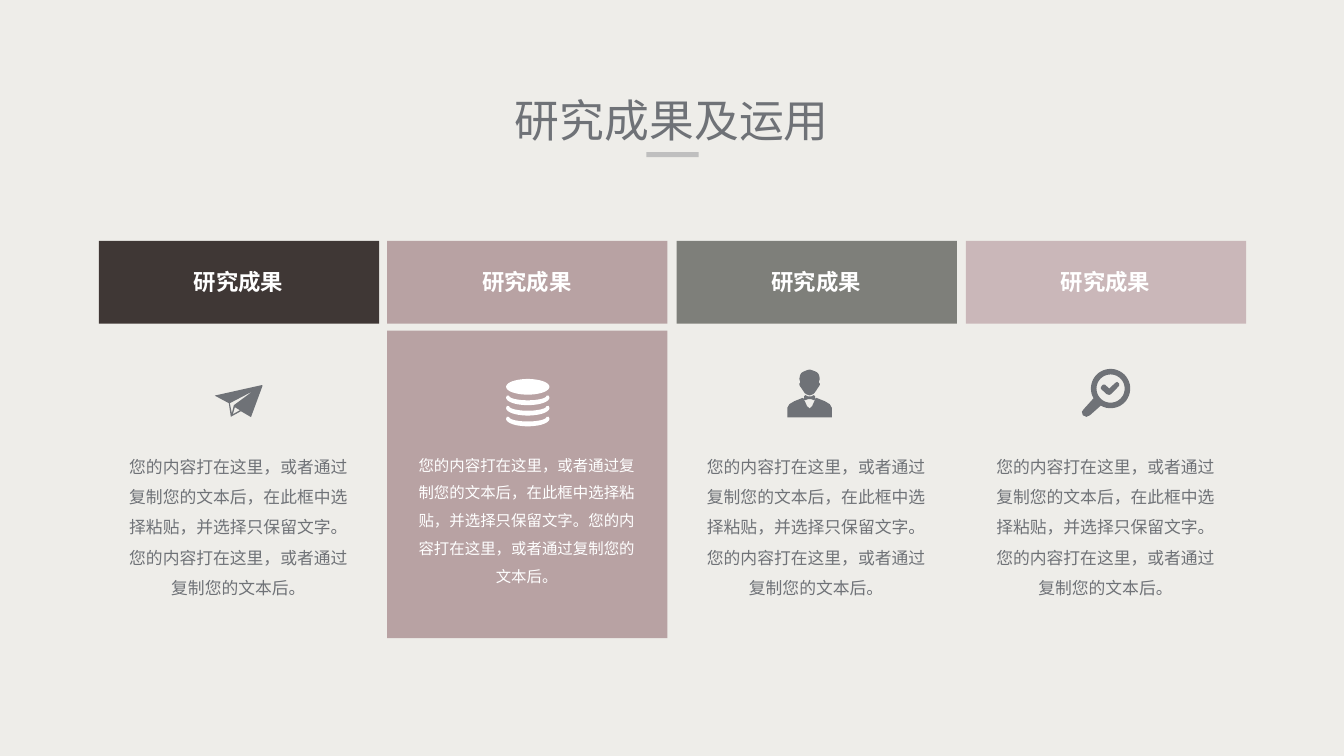
from math import cos, radians, sin

from pptx import Presentation
from pptx.dml.color import RGBColor
from pptx.enum.shapes import MSO_SHAPE
from pptx.enum.text import MSO_ANCHOR, PP_ALIGN
from pptx.util import Pt

PX = 9144
ICON_UNIT = PX / 10
FONT = "Noto Sans CJK SC"
PAPER = RGBColor(0xEE, 0xED, 0xE9)
SLATE = RGBColor(0x6F, 0x72, 0x77)
SILVER = RGBColor(0xBF, 0xBF, 0xBF)
ESPRESSO = RGBColor(0x3F, 0x37, 0x35)
MAUVE = RGBColor(0xB8, 0xA2, 0xA3)
STONE = RGBColor(0x7E, 0x7F, 0x7A)
BLUSH = RGBColor(0xCA, 0xB7, 0xB9)
WHITE = RGBColor(0xFF, 0xFF, 0xFF)

TITLE = "研究成果及运用"
HEADING = "研究成果"
BODY = (
    "您的内容打在这里，或者通过复制您的文本后，在此框中选择粘贴，并选择只保留文字。"
    "您的内容打在这里，或者通过复制您的文本后。"
)


def arc(cx, cy, rx, ry, start=0, end=360, steps=40):
    angles = [radians(start + (end - start) * i / steps) for i in range(steps + 1)]
    return [(cx + rx * cos(a), cy + ry * sin(a)) for a in angles]


def smooth(points, steps=6):
    curve = []
    for i in range(len(points)):
        a, b, c, d = (points[(i + k) % len(points)] for k in (-1, 0, 1, 2))
        for t in (step / steps for step in range(steps)):
            curve.append(tuple(
                q + t * (r - p) / 2
                + t ** 2 * (2 * p - 5 * q + 4 * r - s) / 2
                + t ** 3 * (3 * q - p - 3 * r + s) / 2
                for p, q, r, s in zip(a, b, c, d)
            ))
    return curve


def mirror(half, axis=220):
    return half + [(2 * axis - x, y) for x, y in reversed(half)]


def disk_band(y):
    return arc(215, y, 215, 75, 0, 180) + [(8, y - 20)] + arc(215, y - 18, 185, 45, 180, 0) + [(422, y - 20)]


PLANE = [
    [(470, 0), (0, 105), (140, 180), (160, 315), (260, 260), (360, 318), (474, 8)],
    [(380, 60), (190, 200), (170, 280), (150, 180)],
    [(180, 290), (200, 220), (250, 250)],
]
DATABASE = [arc(215, 78, 215, 78)] + [disk_band(y) for y in (185, 288, 395)]
PERSON = [
    smooth(mirror([(235, 0), (300, 30), (320, 85), (312, 120), (322, 145), (298, 185), (265, 232), (230, 250)])),
    mirror([(280, 282), (290, 278), (370, 310), (420, 340), (440, 375), (440, 470)])
    + [(160, 282), (195, 360), (220, 382), (245, 360)],
    mirror([(235, 264), (262, 250), (275, 262), (275, 292), (262, 300), (235, 290)]),
]
MAGNIFIER = [
    arc(285, 195, 195, 195, 150, 480) + [(80, 460), (45, 475), (10, 460), (0, 425), (20, 398)],
    arc(285, 195, 140, 140),
    [(350, 128), (370, 145), (370, 168), (290, 250), (272, 258), (245, 250),
     (190, 198), (190, 178), (210, 155), (228, 155), (272, 195), (330, 140)],
]


class SlideBuilder:
    def __init__(self, presentation):
        self.slide = presentation.slides.add_slide(presentation.slide_layouts[6])
        background = self.slide.background.fill
        background.solid()
        background.fore_color.rgb = PAPER

    def paint(self, shape, color):
        shape.shadow.inherit = False
        shape.fill.solid()
        shape.fill.fore_color.rgb = color
        shape.line.fill.background()

    def block(self, left, top, width, height, color):
        box = [n * PX for n in (left, top, width, height)]
        self.paint(self.slide.shapes.add_shape(MSO_SHAPE.RECTANGLE, *box), color)

    def text(self, left, top, width, height, wording, size, color,
             spacing=1.0, bold=False, inset=0, anchor=MSO_ANCHOR.TOP):
        box = [n * PX for n in (left, top, width, height)]
        frame = self.slide.shapes.add_textbox(*box).text_frame
        frame.word_wrap = True
        frame.vertical_anchor = anchor
        frame.margin_left = frame.margin_right = inset * 2 * PX
        frame.margin_top = frame.margin_bottom = inset * PX
        frame.text = wording
        paragraph = frame.paragraphs[0]
        paragraph.alignment = PP_ALIGN.CENTER
        paragraph.line_spacing = spacing
        font = paragraph.runs[0].font
        font.name = FONT
        font.size = Pt(size)
        font.bold = bold
        font.color.rgb = color
        properties = paragraph.runs[0]._r.get_or_add_rPr()
        east_asian = properties.makeelement(properties.latin.tag.replace("latin", "ea"), {"typeface": FONT})
        properties.latin.addnext(east_asian)

    def icon(self, left, top, contours, color):
        builder = self.slide.shapes.build_freeform(*contours[0][0], scale=ICON_UNIT)
        for number, contour in enumerate(contours):
            if number:
                builder.move_to(*contour[0])
            builder.add_line_segments(contour[1:], close=True)
        self.paint(builder.convert_to_shape(left * PX, top * PX), color)


def main():
    presentation = Presentation()
    presentation.slide_width = 1333 * PX
    presentation.slide_height = 750 * PX
    page = SlideBuilder(presentation)
    page.text(485, 76, 363, 69, TITLE, 32, SLATE, spacing=1.2, inset=5)
    page.block(641, 151, 52, 5, SILVER)

    columns = [
        (ESPRESSO, PLANE, 115, 382, False),
        (MAUVE, DATABASE, 118, 376, True),
        (STONE, PERSON, 110, 367, False),
        (BLUSH, MAGNIFIER, 115, 366, False),
    ]
    for number, (color, icon, icon_offset, icon_top, highlighted) in enumerate(columns):
        left = 98 + 860 * number // 3
        ink = WHITE if highlighted else SLATE
        if highlighted:
            page.block(left, 328, 278, 305, color)
        page.block(left, 239, 278, 82, color)
        page.text(left + 56, 266, 165, 27, HEADING, 16, WHITE, bold=True, anchor=MSO_ANCHOR.MIDDLE)
        page.icon(left + icon_offset, icon_top, icon, ink)
        page.text(left + 27, 443, 223, 151, BODY, 11 if highlighted else 12, ink, spacing=1.5)

    presentation.save("out.pptx")


if __name__ == "__main__":
    main()
